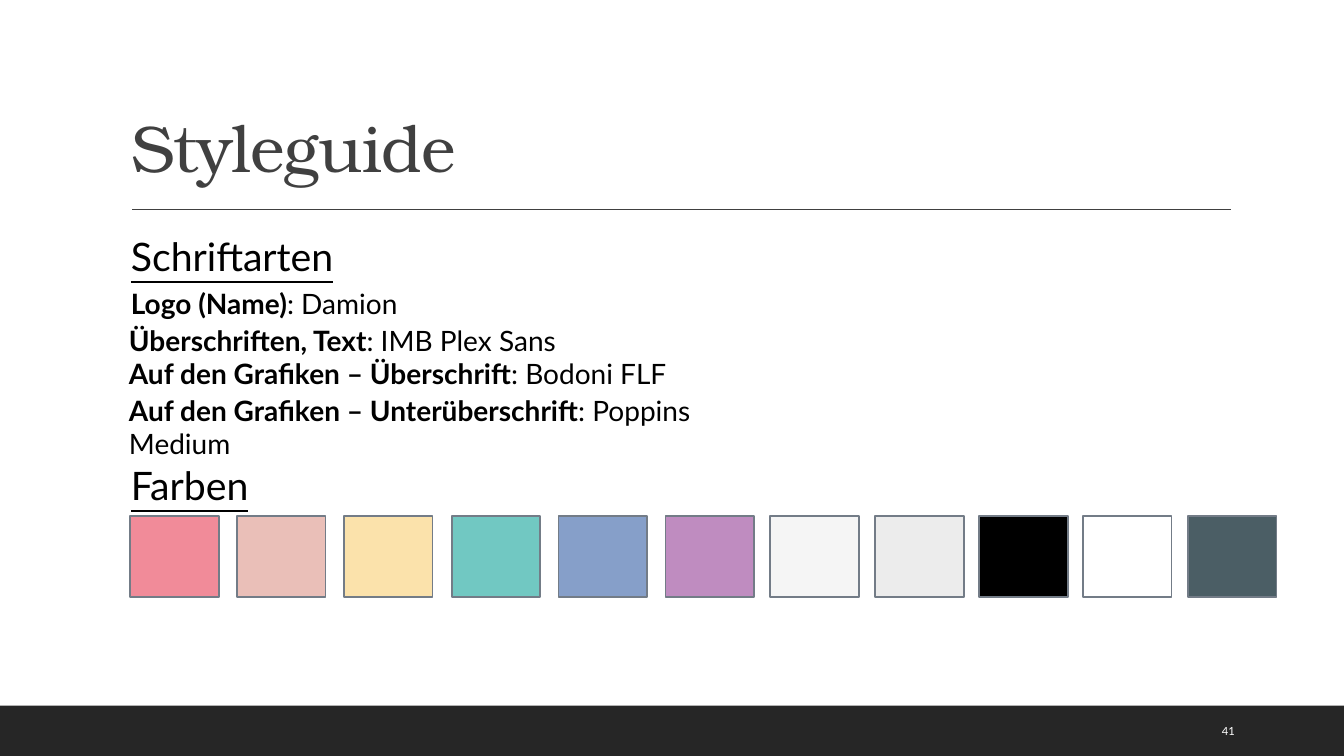
import pptx
import pptx.util
import pptx.dml.color
import pptx.enum.shapes
import pptx.enum.text
import pptx.oxml
import pptx.oxml.ns

PX = 9144  # 100 px to the inch
WIDE, HIGH = 1333, 750
SANS, SERIF = "Lato", "TeX Gyre Bonum"
COLORS = {"ink": "000000", "title": "404040", "bar": "262626",
          "page": "FFFFFF", "edge": "737C87"}

TITLE = "Styleguide"
HEADS = [("Schriftarten", 226), ("Farben", 453)]
FONTS = [  # use, font, left, top, width, height
    ("Logo (Name)", "Damion", 120, 279, 495, 44),
    ("Überschriften, Text", "IMB Plex Sans", 118, 316, 495, 40),
    ("Auf den Grafiken – Überschrift", "Bodoni FLF", 118, 349, 564, 40),
    ("Auf den Grafiken – Unterüberschrift", "Poppins Medium", 118, 385, 658, 40),
]
SWATCHES = [  # first left, pitch, fills
    (129, 106.2, ["F18B99", "EABFB8", "FBE2AB", "71C8C2", "869FC9", "BF8CC0"]),
    (764, 103.5, ["F5F5F5", "ECECEC", "000000", "FFFFFF", "4B5E65"]),
]
SWATCH_TOP, SWATCH_WIDE, SWATCH_HIGH = 512, 88, 80
PAGE = "41"

ANCHOR = pptx.enum.text.MSO_ANCHOR


def px(*sizes):
    return [round(size * PX) for size in sizes]


def rgb(code):
    return pptx.dml.color.RGBColor.from_string(code)


def write(box, text, size, color="ink", font=SANS, anchor=ANCHOR.TOP,
          bold="", underline=False):
    """Fill a box with one paragraph: a bold lead, then plain text."""
    frame = box.text_frame
    frame.word_wrap = True
    frame.auto_size = pptx.enum.text.MSO_AUTO_SIZE.NONE
    frame.vertical_anchor = anchor
    para = frame.paragraphs[0]
    para.alignment = pptx.enum.text.PP_ALIGN.LEFT
    for part, heavy in ((bold, True), (text, False)):
        if part:
            run = para.add_run()
            run.text = part
            run.font.name = font
            run.font.size = pptx.util.Pt(size)
            run.font.bold = heavy
            run.font.underline = underline
            run.font.color.rgb = rgb(color if color not in COLORS else COLORS[color])
    return para


def block(slide, left, top, width, height, fill, edge=None):
    shape = slide.shapes.add_shape(pptx.enum.shapes.MSO_SHAPE.RECTANGLE,
                                   *px(left, top, width, height))
    shape.shadow.inherit = False
    shape.fill.solid()
    shape.fill.fore_color.rgb = rgb(fill)
    if edge:
        shape.line.color.rgb = rgb(edge)
        shape.line.width = pptx.util.Pt(1.25)
    else:
        shape.line.fill.background()


def rule(slide, left, right, top):
    line = slide.shapes.add_connector(pptx.enum.shapes.MSO_CONNECTOR.STRAIGHT,
                                      *px(left, top, right, top))
    line.line.color.rgb = rgb(COLORS["title"])
    line.line.width = pptx.util.Pt(1)
    props = line.element.find(pptx.oxml.ns.qn("p:spPr"))
    props.append(pptx.oxml.parse_xml(
        "<a:effectLst %s/>" % pptx.oxml.ns.nsdecls("a")))


def main():
    deck = pptx.Presentation()
    deck.slide_width, deck.slide_height = px(WIDE, HIGH)
    slide = deck.slides.add_slide(deck.slide_layouts[5])

    block(slide, 0, 700, WIDE, 50, COLORS["bar"])
    rule(slide, 131, 1221, 208)

    title = slide.shapes.title
    title.left, title.top, title.width, title.height = px(120, 31, 1100, 159)
    para = write(title, TITLE, 47, "title", SERIF, ANCHOR.BOTTOM)
    para.line_spacing = 0.9
    para.runs[0].font.element.set("spc", "-50") if hasattr(
        para.runs[0].font, "element") else para.runs[0].font._element.set("spc", "-50")

    for head, top in HEADS:
        box = slide.shapes.add_textbox(*px(120, top, 249, 57))
        write(box, head, 28, underline=True)
    for use, font, *place in FONTS:
        box = slide.shapes.add_textbox(*px(*place))
        write(box, ": " + font, 20, bold=use)

    for first, pitch, fills in SWATCHES:
        for i, fill in enumerate(fills):
            block(slide, round(first + i * pitch), SWATCH_TOP,
                  SWATCH_WIDE, SWATCH_HIGH, fill, COLORS["edge"])

    box = slide.shapes.add_textbox(*px(1202, 705, 85, 40))
    write(box, PAGE, 8, "page", anchor=ANCHOR.MIDDLE)
    deck.save("out.pptx")


if __name__ == "__main__":
    main()
